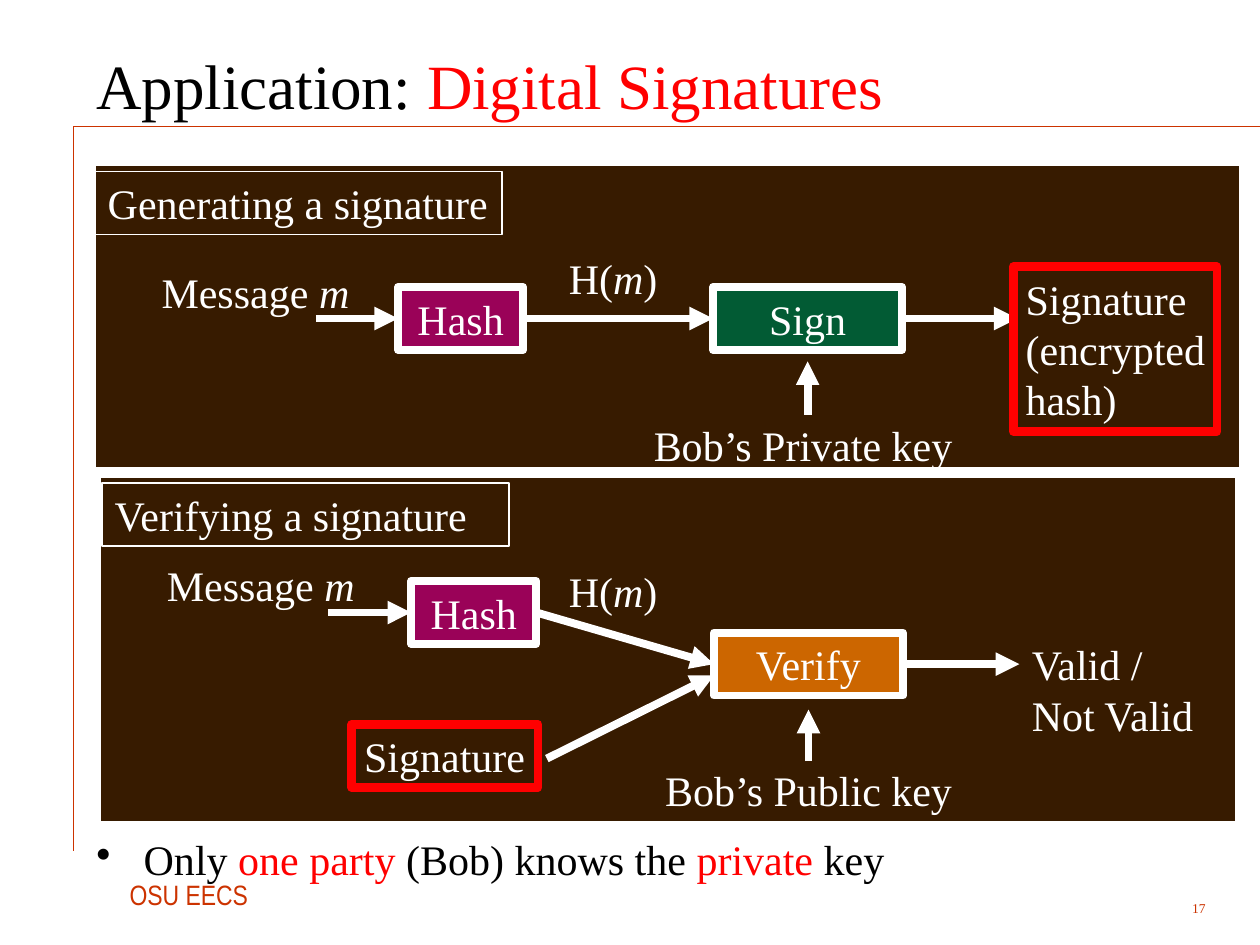
from lxml.etree import SubElement
from pptx import Presentation
from pptx.dml.color import RGBColor
from pptx.enum.shapes import MSO_CONNECTOR, MSO_SHAPE
from pptx.enum.text import MSO_ANCHOR, PP_ALIGN
from pptx.oxml.ns import qn
from pptx.util import Pt

COLORS = {
    "rust": "CC3300", "brown": "371B00", "white": "FFFFFF", "black": "000000",
    "red": "FF0000", "plum": "9A0258", "green": "025B34", "orange": "CC6600",
}
SERIF = "Times New Roman"
RIGHT, LEFT = 3, 1

TITLE = [[("Application: ", "black"), ("Digital Signatures", "red")]]
TAKEAWAY = [[("Only ", "black"), ("one party", "red"), (" (Bob) knows the ", "black"),
             ("private", "red"), (" key", "black")]]
MESSAGE = [[("Message ", "white"), ("m", "white", True)]]
DIGEST = [[("H(", "white"), ("m", "white", True), (")", "white")]]


def plain(*lines):
    return [[(line, "white")] for line in lines]


PANELS = [
    {
        "area": (54.5, 94.5, 654, 187), "border": 1,
        "steps": {
            "hash": ("Hash", (227.5, 164, 71.5, 36), "plum"),
            "sign": ("Sign", (407.5, 164, 108, 36), "green"),
        },
        "arrows": [
            ((180.5, 182), "hash"), ("hash", "sign"),
            ((461.5, 237), (461.5, 206.5)), ("sign", (581.5, 182)),
        ],
        "captions": [
            (MESSAGE, (70, 149, 152, 36), "center"),
            (DIGEST, (318, 140.5, 65, 36), "left"),
            (plain("Bob’s Private key"), (366.5, 236, 186.5, 36), "left"),
        ],
        "frames": [
            (plain("Signature", "(encrypted\nhash)"), (579, 152.5, 116.5, 94), "red", 5),
            (plain("Generating a signature"), (54.5, 98, 232.5, 36), "white", 1),
        ],
    },
    {
        "area": (54.5, 270, 654, 202), "border": 6,
        "steps": {
            "hash": ("Hash", (235, 332, 71.5, 36), "plum"),
            "verify": ("Verify", (408, 361.5, 108, 36), "orange"),
        },
        "arrows": [
            ((187.5, 350), "hash"), ("hash", "verify"), ((462, 435), (462, 405.5)),
            ("verify", (582.5, 379.5)), ((312.5, 433.5), (408, 386)),
        ],
        "captions": [
            (MESSAGE, (67, 316, 164, 36), "center"),
            (DIGEST, (318, 319.5, 65, 36), "left"),
            (plain("Bob’s Public key"), (373, 433.5, 179.5, 36), "left"),
            (plain("Valid /\nNot Valid"), (582.5, 361.5, 109.5, 65), "left"),
        ],
        "frames": [
            (plain("Signature"), (201, 414, 106.5, 36), "red", 5),
            (plain("Verifying a signature"), (58.5, 276, 232.5, 36), "white", 1),
        ],
    },
]
ALIGNMENTS = {"left": PP_ALIGN.LEFT, "center": PP_ALIGN.CENTER, "right": PP_ALIGN.RIGHT}


def color(name):
    return RGBColor.from_string(COLORS[name])


def write(shape, lines, align="left", size=24, font=SERIF, anchor=MSO_ANCHOR.TOP, wrap=True):
    frame = shape.text_frame
    frame.word_wrap = wrap
    frame.vertical_anchor = anchor
    for index, pieces in enumerate(lines):
        paragraph = frame.add_paragraph() if index else frame.paragraphs[0]
        paragraph.alignment = ALIGNMENTS[align]
        for text, tint, *italic in pieces:
            for row, part in enumerate(text.split("\n")):
                if row:
                    paragraph.add_line_break()
                run = paragraph.add_run()
                run.text = part
                run.font.name = font
                run.font.size = Pt(size)
                run.font.color.rgb = color(tint)
                run.font.italic = bool(italic)


def add_text(slide, lines, place, **style):
    box = slide.shapes.add_textbox(*map(Pt, place))
    write(box, lines, **style)
    return box


def add_rectangle(slide, place, fill, line, width):
    shape = slide.shapes.add_shape(MSO_SHAPE.RECTANGLE, *map(Pt, place))
    shape.shadow.inherit = False
    if fill:
        shape.fill.solid()
        shape.fill.fore_color.rgb = color(fill)
    else:
        shape.fill.background()
    shape.line.color.rgb = color(line)
    shape.line.width = Pt(width)
    return shape


def add_line(slide, start, end, tint, width, arrow=False):
    line = slide.shapes.add_connector(MSO_CONNECTOR.STRAIGHT, *map(Pt, (*start, *end)))
    line.line.color.rgb = color(tint)
    line.line.width = Pt(width)
    if arrow:
        SubElement(line.line._get_or_add_ln(), qn("a:tailEnd"), type="triangle")
    SubElement(line._element.spPr, qn("a:effectLst"))
    return line


def add_arrow(slide, steps, source, target):
    start = (0, 0) if source in steps else source
    end = (0, 0) if target in steps else target
    arrow = add_line(slide, start, end, "white", 4.5, arrow=True)
    if source in steps:
        arrow.begin_connect(steps[source], RIGHT)
    if target in steps:
        arrow.end_connect(steps[target], LEFT)


def add_panel(slide, panel):
    add_rectangle(slide, panel["area"], "brown", "white", panel["border"])
    steps = {}
    for name, (label, place, fill) in panel["steps"].items():
        steps[name] = add_rectangle(slide, place, fill, "white", 4.5)
        write(steps[name], plain(label), align="center")
    for source, target in panel["arrows"]:
        add_arrow(slide, steps, source, target)
    for lines, place, align in panel["captions"]:
        add_text(slide, lines, place, align=align, wrap=align == "center")
    for lines, place, line, width in panel["frames"]:
        write(add_rectangle(slide, place, None, line, width), lines, wrap=line == "white")


def add_bullet(paragraph):
    properties = paragraph._p.get_or_add_pPr()
    properties.set("marL", str(Pt(27)))
    properties.set("indent", str(-Pt(27)))
    tint = SubElement(properties, qn("a:buClr"))
    SubElement(tint, qn("a:srgbClr"), val=COLORS["black"])
    SubElement(properties, qn("a:buChar"), char="•")
    paragraph.line_spacing = 0.9


def main():
    presentation = Presentation()
    presentation.slide_width, presentation.slide_height = Pt(720), Pt(540)
    slide = presentation.slides.add_slide(presentation.slide_layouts[6])
    add_line(slide, (42, 72), (720, 72), "rust", 0.25)
    add_line(slide, (42, 72), (42, 486), "rust", 0.75)
    add_text(slide, [[("OSU EECS", "rust")]], (67, 498, 85.5, 26.5),
             size=16, font="Arial Narrow", wrap=False)
    add_text(slide, [[("17", "rust")]], (636, 510, 60, 18),
             size=7.7, align="right", anchor=MSO_ANCHOR.MIDDLE)
    add_text(slide, TITLE, (48, 12, 649, 72), size=36, anchor=MSO_ANCHOR.MIDDLE)
    for panel in PANELS:
        add_panel(slide, panel)
    takeaway = add_text(slide, TAKEAWAY, (48, 476, 644, 34.5))
    add_bullet(takeaway.text_frame.paragraphs[0])
    presentation.save("out.pptx")


if __name__ == "__main__":
    main()
